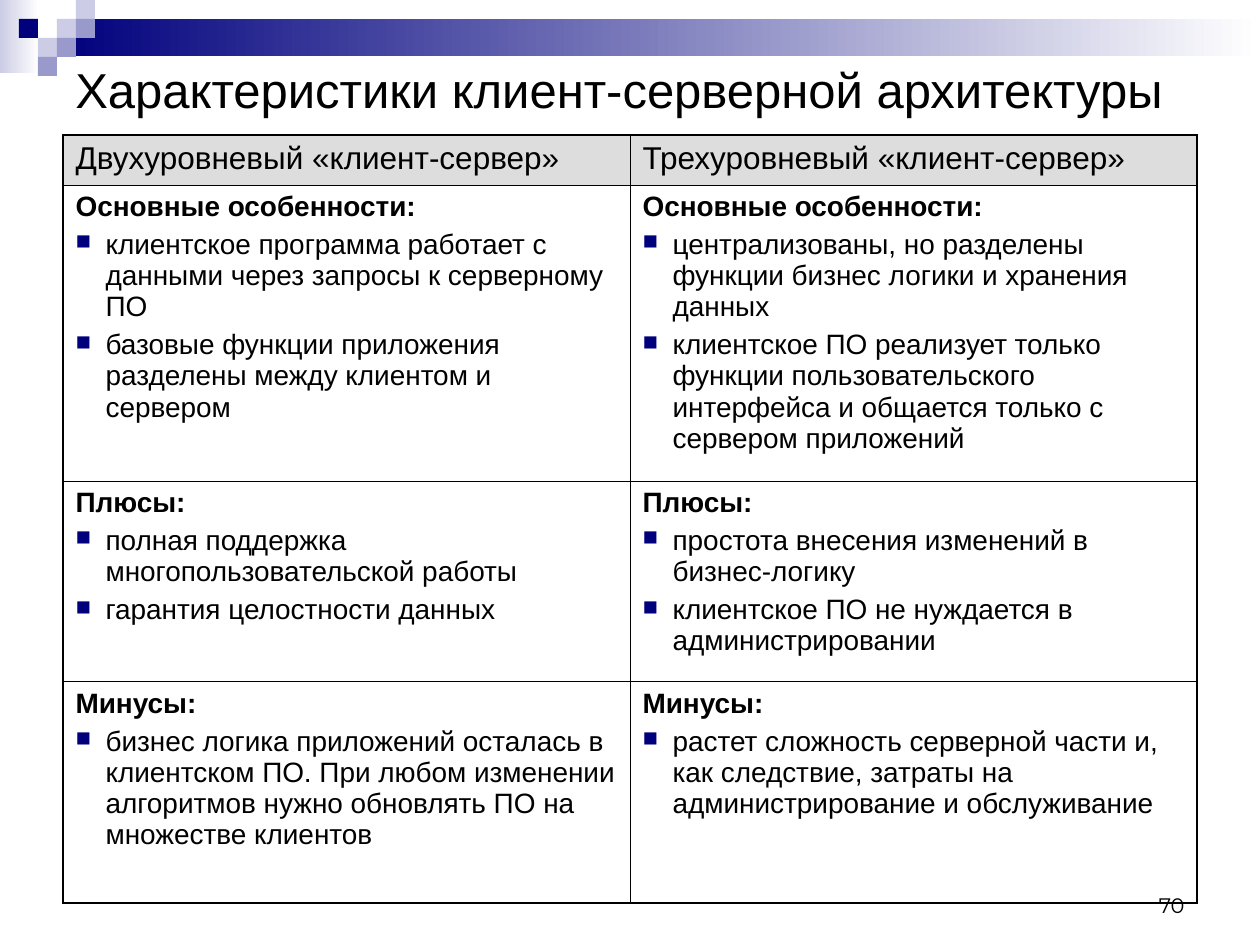
from lxml import etree
from pptx import Presentation
from pptx.dml.color import RGBColor
from pptx.enum.shapes import MSO_SHAPE
from pptx.enum.text import MSO_ANCHOR, PP_ALIGN
from pptx.oxml.ns import qn
from pptx.util import Pt

RECT = MSO_SHAPE.RECTANGLE
MIDDLE, BOTTOM = MSO_ANCHOR.MIDDLE, MSO_ANCHOR.BOTTOM
LEFT, RIGHT = PP_ALIGN.LEFT, PP_ALIGN.RIGHT
SCALE = 914400 / 126
COLORS = {
    "navy": "00007D", "violet": "9999CC", "pale": "CCCCE6",
    "white": "FFFFFF", "black": "000000", "header": "DDDDDD",
}


def px(*values):
    return [round(v * SCALE) for v in values]


def add_run(p, text, size, bold=False, font="Arial"):
    r = p.add_run()
    r.text = text
    r.font.size = Pt(size)
    r.font.bold = bold
    r.font.name = font
    r.font.color.rgb = RGBColor.from_string(COLORS["black"])


prs = Presentation()
prs.slide_width, prs.slide_height = px(1260, 945)
s = prs.slides.add_slide(prs.slide_layouts[6])

for box, start in [((0, 0, 39, 73), "pale"), ((57, 19, 1203, 37), "navy")]:
    sp = s.shapes.add_shape(RECT, *px(*box))
    sp.shadow.inherit = False
    sp.line.fill.background()
    sp.fill.gradient()
    sp.fill.gradient_angle = 0
    for stop, name in zip(sp.fill.gradient_stops, (start, "white")):
        stop.color.rgb = RGBColor.from_string(COLORS[name])

SQUARE = 19
squares = [
    (3, 1, "pale"), (4, 0, "pale"), (4, 1, "violet"), (2, 2, "pale"),
    (1, 1, "navy"), (3, 2, "violet"), (2, 3, "violet"),
]
for col, row, name in squares:
    sp = s.shapes.add_shape(RECT, *px(col * SQUARE, row * SQUARE, SQUARE, SQUARE))
    sp.shadow.inherit = False
    sp.line.fill.background()
    sp.fill.solid()
    sp.fill.fore_color.rgb = RGBColor.from_string(COLORS[name])

rows = [
    (50, "", [["Двухуровневый «клиент-сервер»"], ["Трехуровневый «клиент-сервер»"]]),
    (296, "Основные особенности:", [
        ["клиентское программа работает с данными через запросы к серверному ПО",
         "базовые функции приложения разделены между клиентом и сервером"],
        ["централизованы, но разделены функции бизнес логики и хранения данных",
         "клиентское ПО реализует только функции пользовательского интерфейса "
         "и общается только с сервером приложений"],
    ]),
    (201, "Плюсы:", [
        ["полная поддержка многопользовательской работы",
         "гарантия целостности данных"],
        ["простота внесения изменений в бизнес-логику",
         "клиентское ПО не нуждается в администрировании"],
    ]),
    (221, "Минусы:", [
        ["бизнес логика приложений осталась в клиентском ПО. При любом изменении "
         "алгоритмов нужно обновлять ПО на множестве клиентов"],
        ["растет сложность серверной части и, как следствие, затраты на "
         "администрирование и обслуживание"],
    ]),
]
height = sum(row[0] for row in rows)
table = s.shapes.add_table(len(rows), 2, *px(63, 135, 1134, height)).table
table.first_row = False
table.horz_banding = False
for col in table.columns:
    col.width = px(567)[0]

for i, (row_height, heading, cells) in enumerate(rows):
    table.rows[i].height = px(row_height)[0]
    for j, items in enumerate(cells):
        cell = table.cell(i, j)
        tf = cell.text_frame
        p = tf.paragraphs[0]
        if heading:
            add_run(p, heading, 16, True)
            for item in items:
                p = tf.add_paragraph()
                p.space_before = Pt(4)
                pPr = p._p.get_or_add_pPr()
                pPr.set("marL", str(px(30)[0]))
                pPr.set("indent", str(px(-30)[0]))
                clr = etree.SubElement(pPr, qn("a:buClr"))
                etree.SubElement(clr, qn("a:srgbClr"), val=COLORS["navy"])
                etree.SubElement(pPr, qn("a:buSzPct"), val="75000")
                etree.SubElement(pPr, qn("a:buChar"), char="■")
                add_run(p, item, 16)
        else:
            add_run(p, items[0], 18)

        tcPr = cell._tc.get_or_add_tcPr()
        outer = {"L": j == 0, "R": j == 1, "T": i == 0, "B": i == len(rows) - 1}
        for side, thick in outer.items():
            ln = etree.SubElement(tcPr, qn(f"a:ln{side}"), w=str(Pt(1.08 if thick else 0.45)))
            fill = etree.SubElement(ln, qn("a:solidFill"))
            etree.SubElement(fill, qn("a:srgbClr"), val=COLORS["black"])
        if heading:
            cell.fill.background()
        else:
            cell.fill.solid()
            cell.fill.fore_color.rgb = RGBColor.from_string(COLORS["header"])

labels = [
    ((63, 43, 1134, 92), "Характеристики клиент-серверной архитектуры", 28, "Arial", MIDDLE, LEFT),
    ((903, 861, 294, 63), "70", 12, "Montserrat", BOTTOM, RIGHT),
]
for box, text, size, font, anchor, align in labels:
    tf = s.shapes.add_textbox(*px(*box)).text_frame
    tf.word_wrap = True
    tf.vertical_anchor = anchor
    p = tf.paragraphs[0]
    p.alignment = align
    add_run(p, text, size, font=font)

prs.save("out.pptx")
